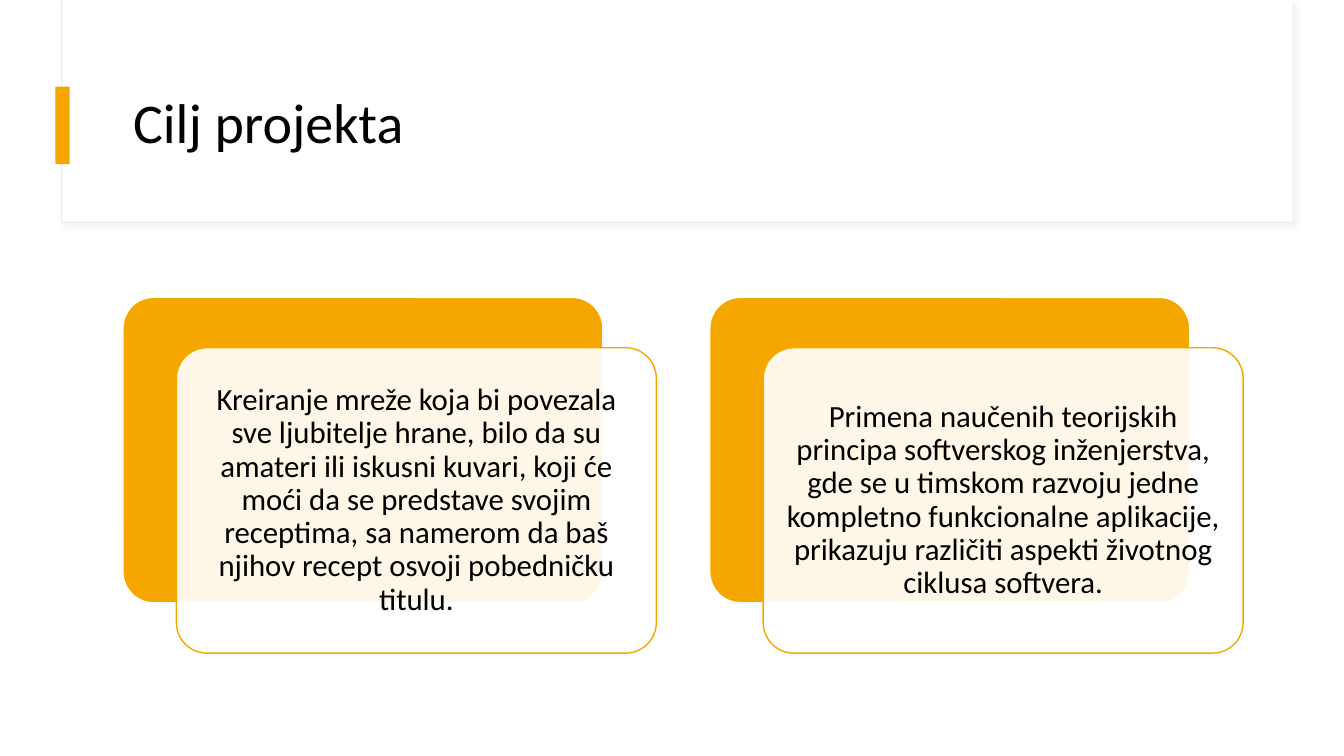
from dataclasses import dataclass

from lxml.etree import SubElement
from pptx import Presentation
from pptx.dml.color import RGBColor
from pptx.enum.shapes import MSO_SHAPE
from pptx.enum.text import MSO_ANCHOR, MSO_AUTO_SIZE, PP_ALIGN
from pptx.oxml import parse_xml
from pptx.oxml.ns import nsdecls, qn
from pptx.shapes.autoshape import Shape
from pptx.shapes.shapetree import GroupShapes, SlideShapes
from pptx.util import Inches, Pt


@dataclass(frozen=True)
class Theme:
    font: str = "Calibri"
    head: float = 40
    body: float = 22
    gold: str = "F5A700"
    white: str = "FFFFFF"
    black: str = "000000"
    edge: str = "E9E9E9"
    shade: str = "D9D9D9"


@dataclass(frozen=True)
class Box:
    left: float
    top: float
    width: float
    height: float

    def shift(self, right: float, down: float) -> "Box":
        return Box(self.left + right, self.top + down, self.width, self.height)

    def inset(self, gap: float) -> "Box":
        return Box(self.left + gap, self.top + gap,
                   self.width - 2 * gap, self.height - 2 * gap)

    def emu(self) -> tuple[int, ...]:
        return tuple(Inches(n) for n in (self.left, self.top, self.width, self.height))


@dataclass(frozen=True)
class Panel:
    box: Box
    fill: str
    line: str = ""
    width: float = 1
    kind: MSO_SHAPE = MSO_SHAPE.RECTANGLE


THEME = Theme()
TITLE = "Cilj projekta"
GOALS = (
    "Kreiranje mreže koja bi povezala sve ljubitelje hrane, bilo da su amateri "
    "ili iskusni kuvari, koji će moći da se predstave svojim receptima, sa "
    "namerom da baš njihov recept osvoji pobedničku titulu.",
    "Primena naučenih teorijskih principa softverskog inženjerstva, gde se u "
    "timskom razvoju jedne kompletno funkcionalne aplikacije, prikazuju "
    "različiti aspekti životnog ciklusa softvera.",
)
FRAME = Panel(Box(0.61, 0, 12.21, 2.21), THEME.white, THEME.edge, 0.75)
COVER = Panel(Box(0.62, 0, 12.2, 2.2), THEME.white)
ACCENT = Panel(Box(0.55, 0.86, 0.14, 0.77), THEME.gold)
CARD = Box(1.22, 2.95, 4.76, 3.03)
STEP = 5.82


def draw(shapes: SlideShapes | GroupShapes, panel: Panel) -> Shape:
    shape = shapes.add_shape(panel.kind, *panel.box.emu())
    shape.shadow.inherit = False
    shape.fill.solid()
    shape.fill.fore_color.rgb = RGBColor.from_string(panel.fill)
    if panel.line:
        shape.line.color.rgb = RGBColor.from_string(panel.line)
        shape.line.width = Pt(panel.width)
    else:
        shape.line.fill.background()
    return shape


def cast(shape: Shape) -> None:
    """Give the shape a soft shadow to the lower right."""
    effects = shape.element.spPr.find(qn("a:effectLst"))
    effects.append(parse_xml(
        f'<a:outerShdw {nsdecls("a")} blurRad="{Pt(4)}" dist="{Pt(3)}" '
        f'dir="2700000" algn="tl" rotWithShape="0"><a:srgbClr val="{THEME.shade}">'
        '<a:alpha val="30000"/></a:srgbClr></a:outerShdw>'))


def fade(shape: Shape, percent: int) -> None:
    """Set the opacity of a solid fill."""
    color = shape.element.spPr.find(f'{qn("a:solidFill")}/{qn("a:srgbClr")}')
    SubElement(color, qn("a:alpha")).set("val", str(percent * 1000))


def write(shape: Shape, text: str, size: float, align: PP_ALIGN) -> None:
    frame = shape.text_frame
    frame.word_wrap = True
    frame.auto_size = MSO_AUTO_SIZE.NONE
    frame.vertical_anchor = MSO_ANCHOR.MIDDLE
    para = frame.paragraphs[0]
    para.alignment = align
    para.line_spacing = 0.9
    run = para.add_run()
    run.text = text
    run.font.name = THEME.font
    run.font.size = Pt(size)
    run.font.color.rgb = RGBColor.from_string(THEME.black)


def header(shapes: SlideShapes) -> None:
    title = shapes.title
    title.left, title.top, title.width, title.height = Box(1.22, 0.6, 11.12, 1.29).emu()
    write(title, TITLE, THEME.head, PP_ALIGN.LEFT)
    parts = [draw(shapes, panel) for panel in (FRAME, COVER, ACCENT)]
    cast(parts[0])
    for part in parts:
        title.element.addprevious(part.element)


def card(shapes: SlideShapes, back: Box, text: str) -> None:
    group = shapes.add_group_shape().shapes
    front = back.shift(0.53, 0.5)
    kind = MSO_SHAPE.ROUNDED_RECTANGLE
    base = draw(group, Panel(back, THEME.gold, THEME.white, kind=kind))
    sheet = draw(group, Panel(front, THEME.white, THEME.gold, kind=kind))
    for shape in (base, sheet):
        shape.adjustments[0] = 0.1
    fade(sheet, 90)
    label = group.add_textbox(*front.inset(0.09).emu())
    frame = label.text_frame
    frame.margin_left = frame.margin_right = Inches(0.09)
    frame.margin_top = frame.margin_bottom = Inches(0.09)
    write(label, text, THEME.body, PP_ALIGN.CENTER)


def main() -> None:
    deck = Presentation()
    deck.slide_width, deck.slide_height = Inches(13.33), Inches(7.5)
    shapes = deck.slides.add_slide(deck.slide_layouts.get_by_name("Title Only")).shapes
    header(shapes)
    for index, text in enumerate(GOALS):
        card(shapes, CARD.shift(index * STEP, 0), text)
    deck.save("out.pptx")


if __name__ == "__main__":
    main()
